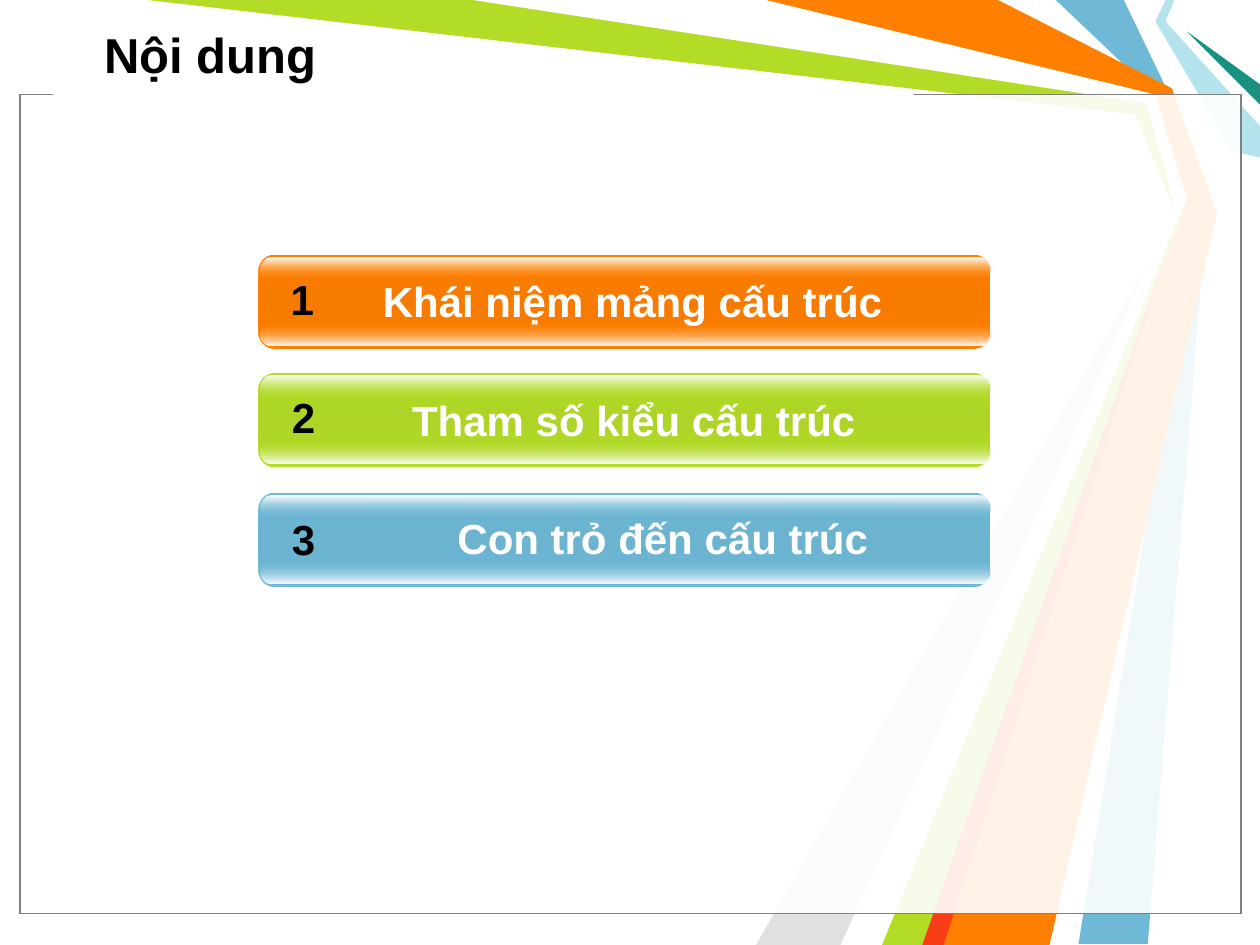
import lxml.etree
import pptx
import pptx.dml.color
import pptx.enum.shapes
import pptx.enum.text
import pptx.oxml.ns
import pptx.util

Inches = pptx.util.Inches
qn = pptx.oxml.ns.qn
SHAPES = pptx.enum.shapes.MSO_SHAPE
ALIGN = pptx.enum.text.PP_ALIGN

COLORS = {
    "white": "FFFFFF", "black": "000000", "frame": "808080",
    "orange": "FF7F00", "orange_mid": "F67B00",
    "green": "B3DC27", "green_mid": "ADD426",
    "blue": "6FB9D7", "blue_mid": "6BB3CF",
    "gray": "E0E0E0", "sky": "B4E3EE", "teal": "189180", "red": "F93D17",
}

RIBBONS = [
    ("blue", [(8.92, 0), (9.29, 0.77), (9.58, 1.67), (9.11, 7.49), (8.56, 7.49),
              (9.5, 1.67), (9.17, 0.75), (8.38, 0)]),
    ("green", [(1.17, 0), (3.83, 0), (9.14, 0.78), (9.42, 1.69), (7.42, 7.5),
               (6.92, 7.5), (9.35, 1.73), (9.01, 0.91)]),
    ("gray", [(6.67, 7.5), (9.27, 1.81), (6, 7.5)]),
    ("white", [(3.75, 0), (9.1, 0.82), (9.32, 1.62), (6.75, 7.5), (7, 7.5),
               (9.41, 1.58), (9.17, 0.75), (6, 0)]),
    ("sky", [(9.25, 0), (9.17, 0.17), (9.78, 1.2), (10, 1.25), (10, 1),
             (9.25, 0.17), (9.32, 0)]),
    ("teal", [(10, 0.83), (9.42, 0.25), (10, 0.67)]),
    ("orange", [(6.08, 0), (7.92, 0), (9.3, 0.7), (9.66, 1.69), (8.33, 7.5),
                (7.33, 7.5), (9.42, 1.58), (9.17, 0.75)]),
    ("red", [(7.32, 7.5), (9.32, 1.83), (7.49, 7.5)]),
]

BARS = [("green", 2.96), ("blue", 3.91), ("orange", 2.02)]

TOPICS = [
    ("Khái niệm mảng cấu trúc", (2.56, 2.14, 4.92, 0.5)),
    ("Tham số kiểu cấu trúc", (2.57, 3.08, 4.92, 0.5)),
    ("Con trỏ đến cấu trúc", (2.67, 4.02, 5.18, 0.5)),
]

NUMBERS = [("1", 2.19, 2.12), ("2", 2.2, 3.06), ("3", 2.2, 4.03)]


class SlideBuilder:
    """Hold the style and the current slide, and draw its elements."""

    font = "Arial"

    def __init__(self, slide):
        self.slide = slide

    def color(self, name):
        return pptx.dml.color.RGBColor.from_string(COLORS[name])

    def paint(self, shape, fill, line=None):
        shape.shadow.inherit = False
        shape.fill.solid()
        shape.fill.fore_color.rgb = self.color(fill)
        if line:
            shape.line.color.rgb = self.color(line)
            shape.line.width = pptx.util.Pt(0.75)
        else:
            shape.line.fill.background()

    def ribbon(self, color, points):
        start, *rest = [(Inches(x), Inches(y)) for x, y in points]
        builder = self.slide.shapes.build_freeform(*start)
        builder.add_line_segments(rest, close=True)
        self.paint(builder.convert_to_shape(), color)

    def rectangle(self, box, fill, line=None, opacity=100):
        shape = self.slide.shapes.add_shape(SHAPES.RECTANGLE, *map(Inches, box))
        self.paint(shape, fill, line)
        if opacity < 100:
            color = shape.fill._xPr.find(qn("a:solidFill"))[0]
            lxml.etree.SubElement(color, qn("a:alpha"), val=str(opacity * 1000))

    def gradient_bar(self, box, radius, stops):
        shape = self.slide.shapes.add_shape(SHAPES.ROUNDED_RECTANGLE, *map(Inches, box))
        shape.adjustments[0] = radius
        self.paint(shape, "white")
        shape.fill.gradient()
        shape.fill.gradient_angle = 270
        stop_list = shape._element.spPr.find(".//" + qn("a:gsLst"))
        for old_stop in list(stop_list):
            stop_list.remove(old_stop)
        for position, name, opacity in stops:
            stop = lxml.etree.SubElement(stop_list, qn("a:gs"), pos=str(position * 1000))
            color = lxml.etree.SubElement(stop, qn("a:srgbClr"), val=COLORS[name])
            if opacity < 100:
                lxml.etree.SubElement(color, qn("a:alpha"), val=str(opacity * 1000))

    def glossy_bar(self, color, top):
        self.gradient_bar((2.05, top, 5.81, 0.75), 0.175,
                          [(0, color, 100), (50, color + "_mid", 100), (100, color, 100)])
        self.gradient_bar((2.07, top + 0.54, 5.79, 0.18), 0.5,
                          [(0, color, 0), (100, "white", 100)])
        self.gradient_bar((2.07, top + 0.02, 5.79, 0.18), 0.5,
                          [(0, "white", 100), (100, color, 0)])

    def text(self, words, box, color, size=24, align=ALIGN.CENTER, hanging=0, middle=False):
        frame = self.slide.shapes.add_textbox(*map(Inches, box)).text_frame
        frame.word_wrap = True
        if middle:
            frame.vertical_anchor = pptx.enum.text.MSO_ANCHOR.MIDDLE
        paragraph = frame.paragraphs[0]
        paragraph.alignment = align
        if hanging:
            properties = paragraph._p.get_or_add_pPr()
            properties.set("marL", str(Inches(hanging)))
            properties.set("indent", str(-Inches(hanging)))
        run = paragraph.add_run()
        run.text = words
        run.font.name = self.font
        run.font.size = pptx.util.Pt(size)
        run.font.bold = True
        run.font.color.rgb = self.color(color)


def main():
    presentation = pptx.Presentation()
    presentation.slide_width = Inches(10)
    presentation.slide_height = Inches(7.5)
    builder = SlideBuilder(presentation.slides.add_slide(presentation.slide_layouts[6]))

    for color, points in RIBBONS:
        builder.ribbon(color, points)
    for line in ("black", "frame"):
        builder.rectangle((0.16, 0.75, 9.69, 6.5), "white", line, opacity=69)
    builder.rectangle((0.42, 0.74, 6.83, 0.17), "white")
    builder.text("Nội dung", (0.73, 0.08, 9.11, 0.69), "black", 28, ALIGN.LEFT, middle=True)

    for color, top in BARS:
        builder.glossy_bar(color, top)
    for words, box in TOPICS:
        builder.text(words, box, "white", hanging=0.5)
    for number, left, top in NUMBERS:
        builder.text(number, (left, top, 0.42, 0.5), "black")

    presentation.save("out.pptx")


if __name__ == "__main__":
    main()
